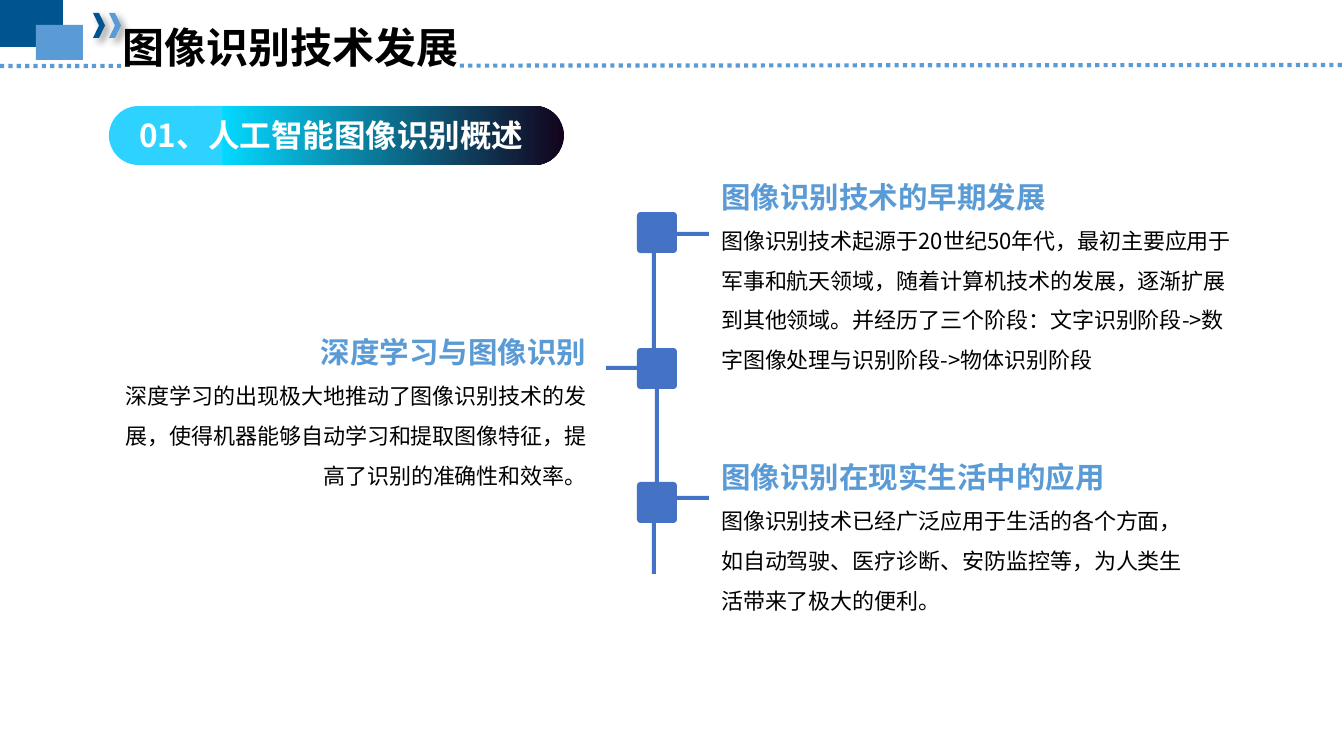
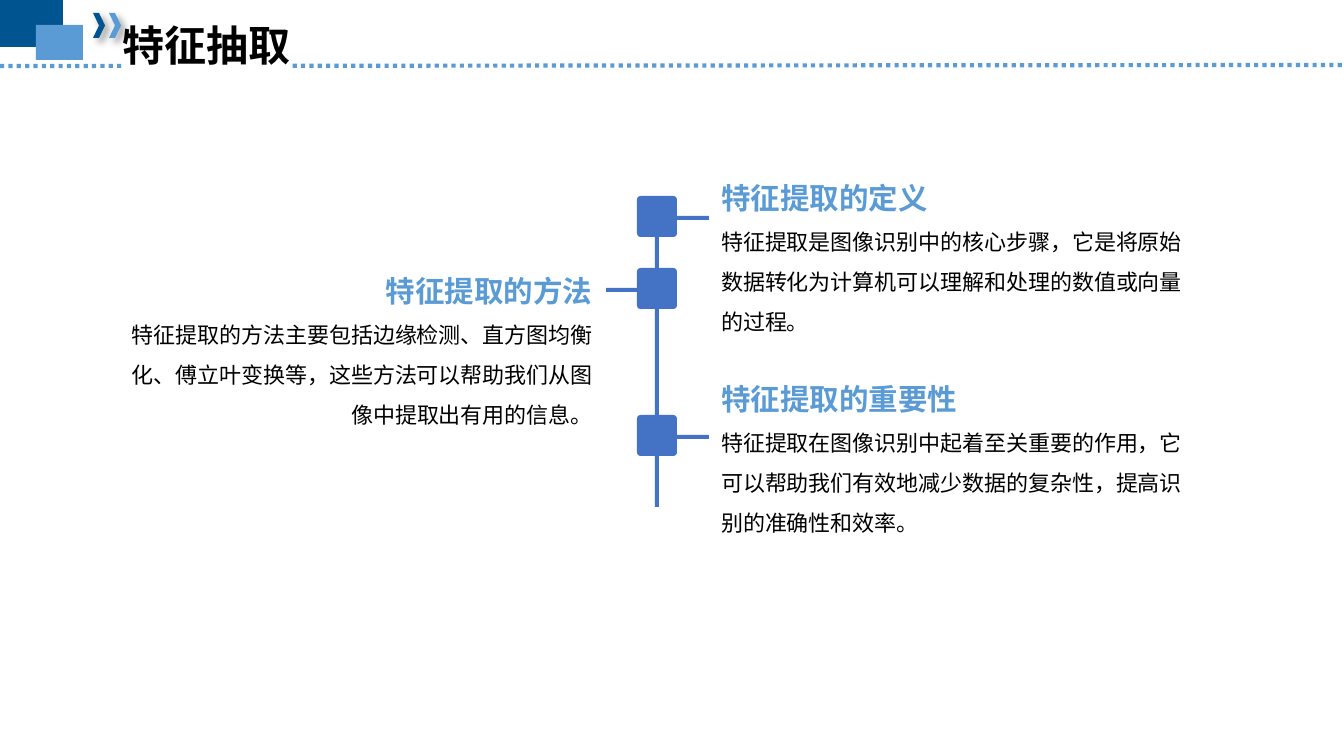
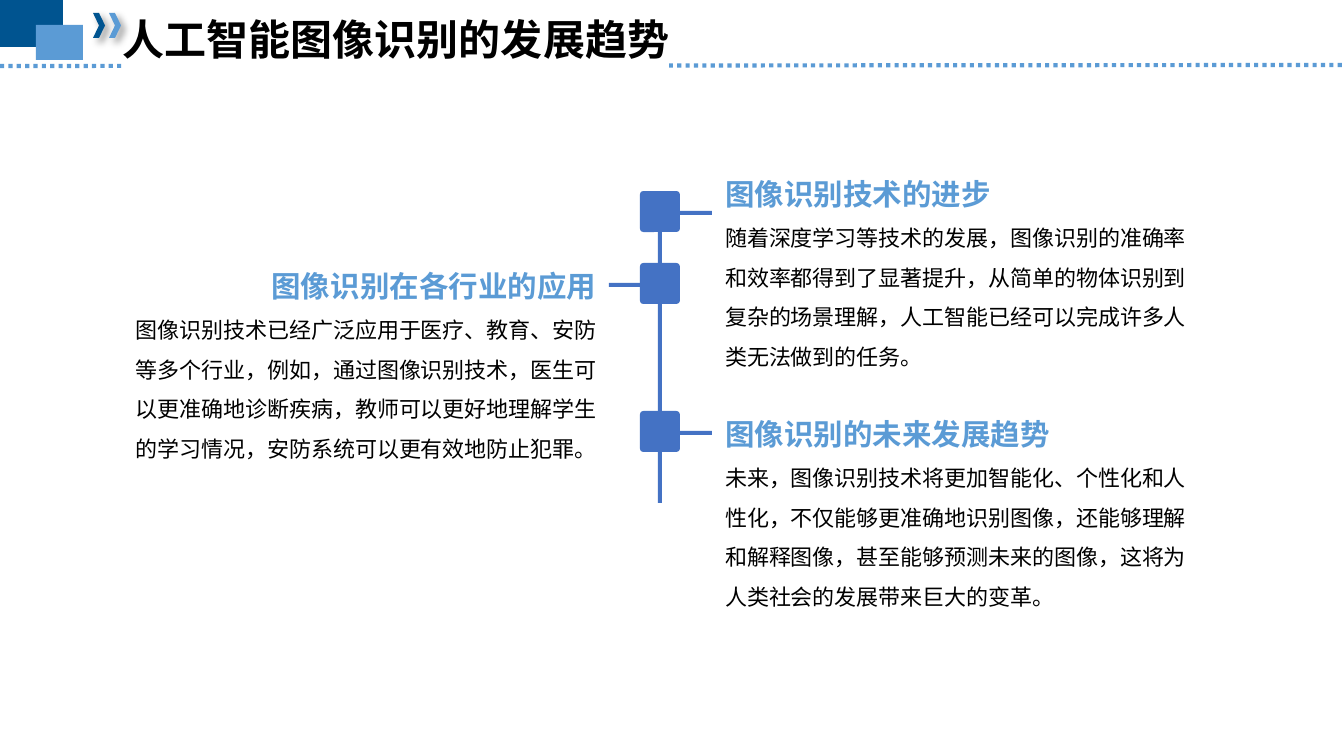
from lxml import etree
from pptx import Presentation
from pptx.dml.color import RGBColor
from pptx.enum.dml import MSO_LINE
from pptx.enum.shapes import MSO_CONNECTOR, MSO_SHAPE
from pptx.enum.text import MSO_ANCHOR, MSO_AUTO_SIZE, PP_ALIGN
from pptx.oxml.ns import qn
from pptx.util import Pt

RECTANGLE = MSO_SHAPE.RECTANGLE
ROUNDED = MSO_SHAPE.ROUNDED_RECTANGLE
PILL_END = MSO_SHAPE.ROUND_2_SAME_RECTANGLE
CHEVRON = MSO_SHAPE.CHEVRON
STRAIGHT = MSO_CONNECTOR.STRAIGHT
ROUND_DOT = MSO_LINE.ROUND_DOT
MIDDLE = MSO_ANCHOR.MIDDLE
GROW = MSO_AUTO_SIZE.SHAPE_TO_FIT_TEXT
LEFT, RIGHT = PP_ALIGN.LEFT, PP_ALIGN.RIGHT

PX = 914400 / 134.4
WIDTH, HEIGHT = 1344, 756
FONT = "Noto Sans CJK SC"
NAVY, SKY, TIMELINE = "005490", "5B9BD5", "4472C4"
CYAN, BRIGHT_CYAN, NIGHT = "2ED2FF", "04D9FF", "13031D"
BLACK, WHITE = "000000", "FFFFFF"
NODE_WIDTH, NODE_HEIGHT = 40, 41
STUB_LENGTH, BAR, TAIL = 34, 4, 51


def add_block(slide, preset, box, color):
    shape = slide.shapes.add_shape(preset, *[round(value * PX) for value in box])
    shape.shadow.inherit = False
    shape.fill.solid()
    shape.fill.fore_color.rgb = RGBColor.from_string(color)
    shape.line.fill.background()
    return shape


def add_text(slide, box, lines, alignment=LEFT):
    frame = slide.shapes.add_textbox(*[round(value * PX) for value in box]).text_frame
    frame.word_wrap = True
    frame.auto_size = GROW
    frame.vertical_anchor = MIDDLE
    frame.text = "\n".join(line[0] for line in lines)
    for paragraph, (_, size, color, bold, spacing) in zip(frame.paragraphs, lines):
        paragraph.alignment = alignment
        paragraph.line_spacing = spacing
        run = paragraph.runs[0]
        run.font.size = Pt(size)
        run.font.bold = bold
        run.font.color.rgb = RGBColor.from_string(color)
        run.font.name = FONT
        properties = run.font._element
        latin = properties.find(qn("a:latin"))
        east_asian = etree.Element(qn("a:ea"), typeface=FONT)
        latin.addnext(east_asian)
        if color != WHITE:
            highlight = etree.Element(qn("a:highlight"))
            etree.SubElement(highlight, qn("a:srgbClr"), val=WHITE)
            latin.addprevious(highlight)


pages = [
    {
        "title": "图像识别技术发展", "title_top": -11,
        "badge": "01、人工智能图像识别概述",
        "node_left": 637,
        "nodes": [(212, 20, 15), (348, 18, 18), (482, 14, 15)],
        "topics": [
            ((708, 172, 543, 208), "图像识别技术的早期发展",
             "图像识别技术起源于20世纪50年代，最初主要应用于军事和航天领域，随着计算机技术的发展，逐渐扩展到其他领域。并经历了三个阶段：文字识别阶段->数字图像处理与识别阶段->物体识别阶段"),
            ((99, 327, 501, 169), "深度学习与图像识别",
             "深度学习的出现极大地推动了图像识别技术的发展，使得机器能够自动学习和提取图像特征，提高了识别的准确性和效率。"),
            ((708, 452, 503, 169), "图像识别在现实生活中的应用",
             "图像识别技术已经广泛应用于生活的各个方面，如自动驾驶、医疗诊断、安防监控等，为人类生活带来了极大的便利。"),
        ],
    },
    {
        "title": "特征抽取", "title_top": -13,
        "badge": None,
        "node_left": 637,
        "nodes": [(196, 20, 18), (268, 20, 18), (415, 20, 18)],
        "topics": [
            ((708, 173, 501, 169), "特征提取的定义",
             "特征提取是图像识别中的核心步骤，它是将原始数据转化为计算机可以理解和处理的数值或向量的过程。"),
            ((105, 266, 501, 169), "特征提取的方法",
             "特征提取的方法主要包括边缘检测、直方图均衡化、傅立叶变换等，这些方法可以帮助我们从图像中提取出有用的信息。"),
            ((708, 374, 503, 169), "特征提取的重要性",
             "特征提取在图像识别中起着至关重要的作用，它可以帮助我们有效地减少数据的复杂性，提高识别的准确性和效率。"),
        ],
    },
    {
        "title": "人工智能图像识别的发展趋势", "title_top": -19,
        "badge": None,
        "node_left": 640,
        "nodes": [(191, 20, 18), (263, 20, 18), (411, 20, 18)],
        "topics": [
            ((712, 169, 501, 208), "图像识别技术的进步",
             "随着深度学习等技术的发展，图像识别的准确率和效率都得到了显著提升，从简单的物体识别到复杂的场景理解，人工智能已经可以完成许多人类无法做到的任务。"),
            ((109, 261, 501, 208), "图像识别在各行业的应用",
             "图像识别技术已经广泛应用于医疗、教育、安防等多个行业，例如，通过图像识别技术，医生可以更准确地诊断疾病，教师可以更好地理解学生的学习情况，安防系统可以更有效地防止犯罪。"),
            ((712, 409, 503, 208), "图像识别的未来发展趋势",
             "未来，图像识别技术将更加智能化、个性化和人性化，不仅能够更准确地识别图像，还能够理解和解释图像，甚至能够预测未来的图像，这将为人类社会的发展带来巨大的变革。"),
        ],
    },
]

presentation = Presentation()
presentation.slide_width = round(WIDTH * PX)
presentation.slide_height = round(HEIGHT * PX)

for page in pages:
    slide = presentation.slides.add_slide(presentation.slide_layouts[6])

    add_block(slide, RECTANGLE, (0, 0, 63, 47), NAVY)
    add_block(slide, RECTANGLE, (36, 25, 47, 35), SKY)
    rule = slide.shapes.add_connector(STRAIGHT, 0, round(66 * PX), round(WIDTH * PX), round(65 * PX))
    rule.line.color.rgb = RGBColor.from_string(SKY)
    rule.line.width = Pt(2.25)
    rule.line.dash_style = ROUND_DOT
    etree.SubElement(rule._element.spPr, qn("a:effectLst"))
    add_text(slide, (109, page["title_top"], 1032, 90), [(page["title"], 22.5, BLACK, True, 1.5)])

    for index, (box, heading, body) in enumerate(page["topics"]):
        lines = [(heading, 15.8, SKY, True, 1.0), (body, 11.8, BLACK, False, 1.5)]
        add_text(slide, box, lines, RIGHT if index == 1 else LEFT)

    if page["badge"]:
        badge_body = add_block(slide, PILL_END, (363, -36, 59, 343), NIGHT)
        badge_body.rotation = 90
        badge_body.fill.gradient()
        badge_body.fill.gradient_angle = 270
        for stop, color in zip(badge_body.fill.gradient_stops, (NIGHT, BRIGHT_CYAN)):
            stop.color.rgb = RGBColor.from_string(color)
        badge_cap = add_block(slide, PILL_END, (136, 79, 59, 113), CYAN)
        badge_cap.rotation = 270
        for badge_part in (badge_body, badge_cap):
            badge_part.adjustments[0] = 0.5
        add_text(slide, (126, 109, 437, 52), [(page["badge"], 16.9, WHITE, True, 1.0)])

    for left, color in ((93, NAVY), (109, SKY)):
        chevron = add_block(slide, CHEVRON, (left, 13, 12, 25), color)
        effects = chevron._element.spPr.find(qn("a:effectLst"))
        shadow = etree.SubElement(effects, qn("a:outerShdw"), blurRad="50800", dist="38100",
                                  dir="2700000", algn="tl", rotWithShape="0")
        shadow_color = etree.SubElement(shadow, qn("a:srgbClr"), val=BLACK)
        etree.SubElement(shadow_color, qn("a:alpha"), val="40000")

    node_left = page["node_left"]
    nodes = page["nodes"]
    last_bottom = nodes[-1][0] + NODE_HEIGHT + TAIL
    segment_ends = [node[0] for node in nodes[1:]] + [last_bottom]
    for index, ((top, stub_offset, segment_offset), end) in enumerate(zip(nodes, segment_ends)):
        bottom = top + NODE_HEIGHT
        stub_left = node_left - 31 if index == 1 else node_left + 38
        add_block(slide, RECTANGLE, (node_left + segment_offset, bottom, BAR, end - bottom), TIMELINE)
        add_block(slide, RECTANGLE, (stub_left, top + stub_offset, STUB_LENGTH, BAR), TIMELINE)
        node = add_block(slide, ROUNDED, (node_left, top, NODE_WIDTH, NODE_HEIGHT), TIMELINE)
        node.adjustments[0] = 0.09

presentation.save("out.pptx")
